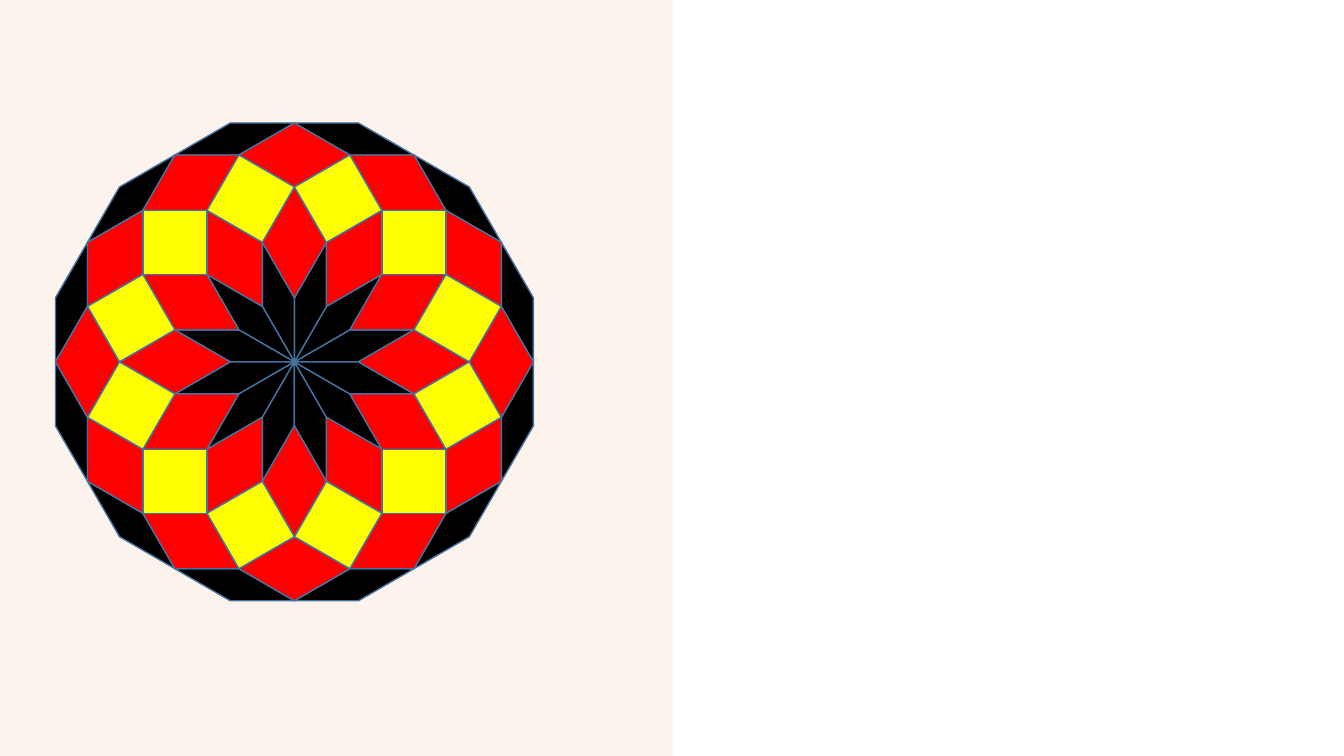
from dataclasses import dataclass
from math import cos, radians, sin, tan

from lxml import etree
from pptx import Presentation
from pptx.dml.color import RGBColor
from pptx.enum.shapes import MSO_CONNECTOR, MSO_SHAPE
from pptx.oxml.ns import qn
from pptx.shapes.group import GroupShape
from pptx.slide import Slide
from pptx.util import Inches, Pt

BLACK = RGBColor(0x00, 0x00, 0x00)
RED = RGBColor(0xFF, 0x00, 0x00)
YELLOW = RGBColor(0xFF, 0xFF, 0x00)
OUTLINE = RGBColor(0x43, 0x73, 0x9E)
PANEL = RGBColor(0xF4, 0xB1, 0x83)
DIVIDER = RGBColor(0xFB, 0xE5, 0xD6)

SLIDE_WIDTH, SLIDE_HEIGHT = 13.33, 7.5
PANEL_WIDTH = 6.67
CENTRE_X, CENTRE_Y = 2.92, 3.59
APOTHEM = 2.37
PETALS = 12
STEP = 360 / PETALS
SIDE = APOTHEM * tan(radians(STEP / 2))

Point = tuple[float, float]


@dataclass(frozen=True)
class TileGroup:
    colour: RGBColor
    rings: tuple[int, ...]


TILE_GROUPS = (
    TileGroup(BLACK, (1, 5)),
    TileGroup(RED, (2, 4)),
    TileGroup(YELLOW, (3,)),
)


def lattice_point(first: int, count: int) -> Point:
    """Walk from the centre along count sides, each turned one step further."""
    angles = [radians(STEP * index) for index in range(first, first + count)]
    return (
        CENTRE_X + SIDE * sum(cos(angle) for angle in angles),
        CENTRE_Y - SIDE * sum(sin(angle) for angle in angles),
    )


def rhombus_corners(ring: int, petal: int) -> list[Point]:
    return [
        lattice_point(petal + 1, ring - 1),
        lattice_point(petal, ring),
        lattice_point(petal, ring + 1),
        lattice_point(petal + 1, ring),
    ]


def add_tile(group: GroupShape, corners: list[Point], colour: RGBColor) -> None:
    start, *others = [(Inches(x), Inches(y)) for x, y in corners]
    builder = group.shapes.build_freeform(*start)
    builder.add_line_segments(others, close=True)
    tile = builder.convert_to_shape()
    tile.shadow.inherit = False
    tile.fill.solid()
    tile.fill.fore_color.rgb = colour
    tile.line.color.rgb = OUTLINE
    tile.line.width = Pt(1)


def add_rosette(slide: Slide) -> None:
    for tile_group in TILE_GROUPS:
        group = slide.shapes.add_group_shape()
        for ring in tile_group.rings:
            for petal in range(PETALS):
                add_tile(group, rhombus_corners(ring, petal), tile_group.colour)


def set_opacity(properties: etree._Element, percent: int) -> None:
    colour = next(properties.iter(qn("a:srgbClr")))
    etree.SubElement(colour, qn("a:alpha")).set("val", str(percent * 1000))


def add_panel(slide: Slide) -> None:
    panel = slide.shapes.add_shape(
        MSO_SHAPE.RECTANGLE, 0, 0, Inches(PANEL_WIDTH), Inches(SLIDE_HEIGHT)
    )
    panel.shadow.inherit = False
    panel.fill.solid()
    panel.fill.fore_color.rgb = PANEL
    panel.line.fill.background()
    set_opacity(panel._element.spPr, 14)

    divider = slide.shapes.add_connector(
        MSO_CONNECTOR.STRAIGHT,
        Inches(PANEL_WIDTH), Inches(SLIDE_HEIGHT), Inches(PANEL_WIDTH), 0,
    )
    divider.line.color.rgb = DIVIDER
    divider.line.width = Pt(0.25)
    properties = divider._element.spPr
    set_opacity(properties, 50)
    etree.SubElement(properties, qn("a:effectLst"))


def main() -> None:
    presentation = Presentation()
    presentation.slide_width = Inches(SLIDE_WIDTH)
    presentation.slide_height = Inches(SLIDE_HEIGHT)
    slide = presentation.slides.add_slide(presentation.slide_layouts[6])
    add_panel(slide)
    add_rosette(slide)
    presentation.save("out.pptx")


if __name__ == "__main__":
    main()
